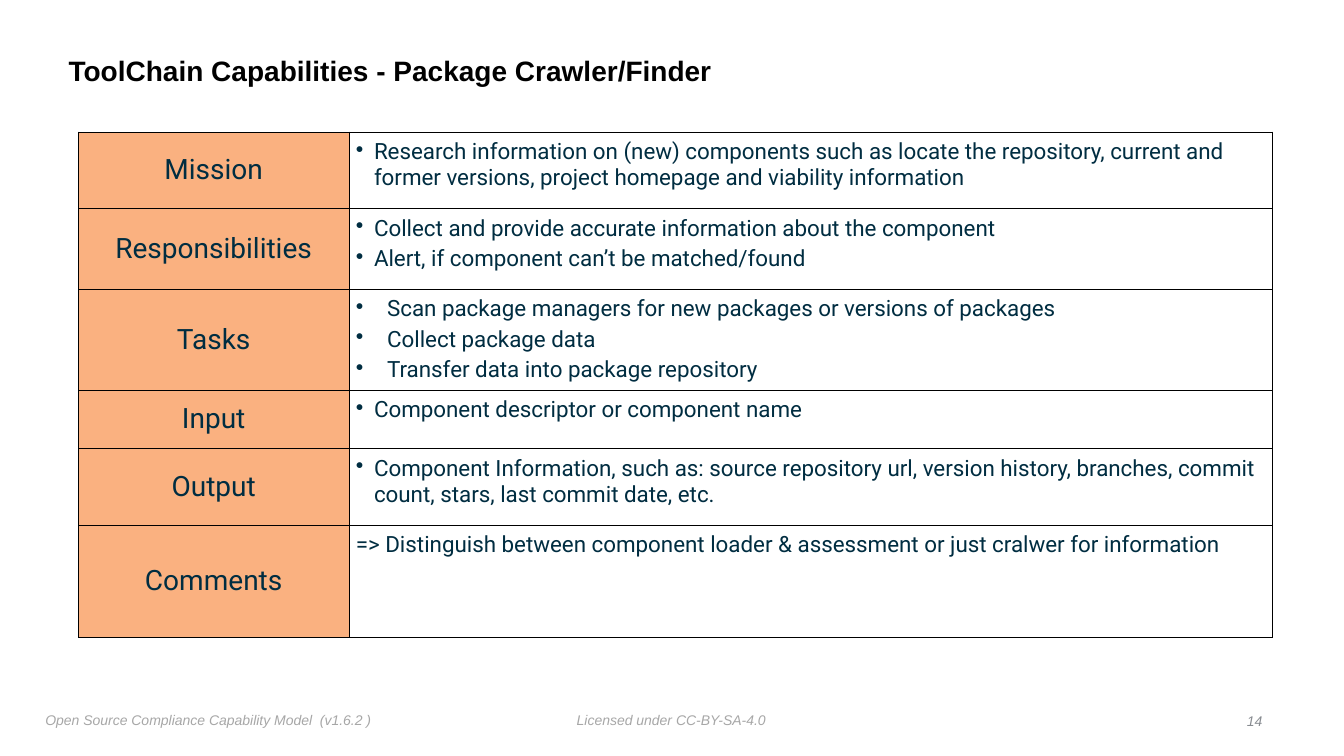
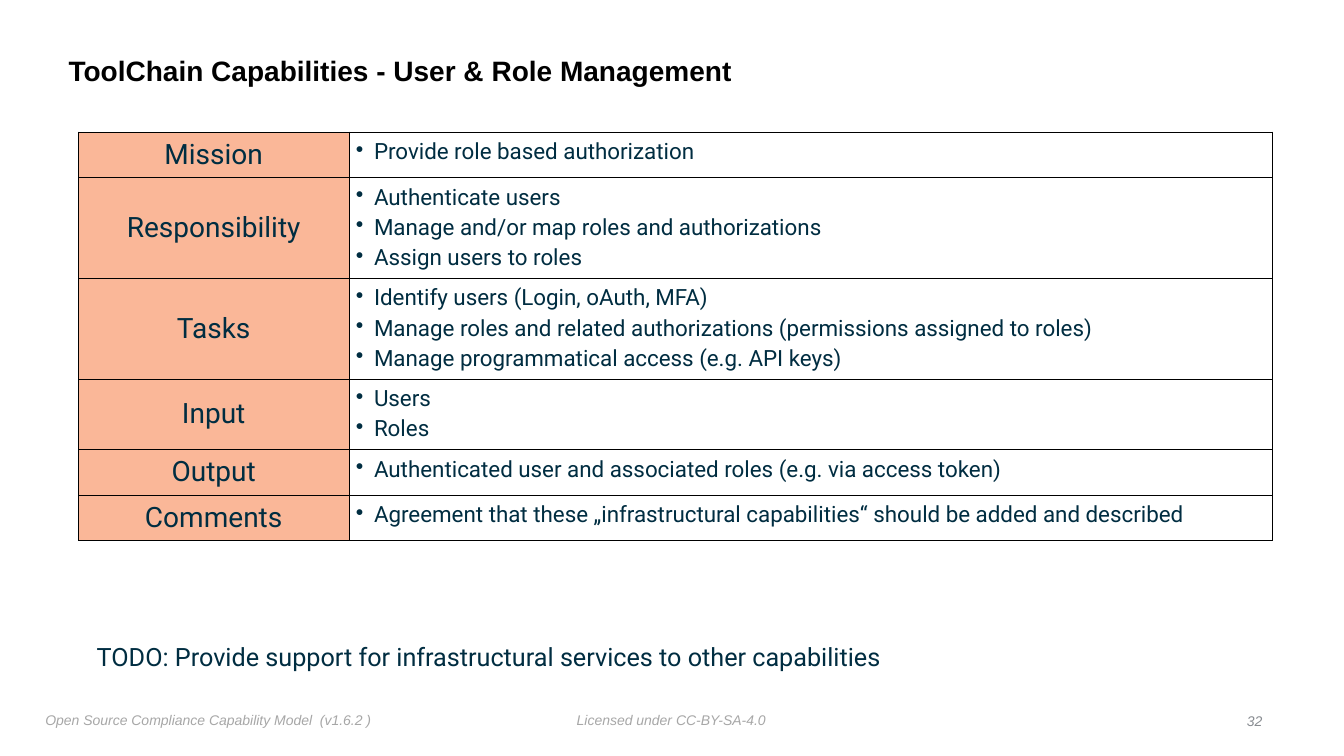
"""Build two capability sheets that share a title style, a table style and a footer."""
import lxml.etree
import pptx
import pptx.dml.color
import pptx.enum.text
import pptx.oxml
import pptx.oxml.ns
import pptx.util

Inches = pptx.util.Inches
Pt = pptx.util.Pt
Align = pptx.enum.text.PP_ALIGN
Anchor = pptx.enum.text.MSO_ANCHOR

THEME = {
    "title": {"size": 20, "name": "Arial", "color": "000000", "bold": True},
    "label": {"size": 20, "name": "Roboto", "color": "002D41"},
    "body": {"size": 16, "name": "Roboto", "color": "002D41"},
    "note": {"size": 18, "name": "Roboto", "color": "002D41"},
    "footer": {"size": 10, "name": "Arial", "color": "A7A7A7", "italic": True},
    "number": {"size": 10, "name": "Arial", "color": "888C91", "italic": True},
    "border": "000000",
}

TITLE_AREA = (0.63, 0.39, 10.75, 0.65)
TABLE_LEFT, TABLE_TOP = 0.78, 1.31
COLUMN_WIDTHS = (2.68, 9.16)
NOTE_AREA = (0.91, 6.31, 8.4, 0.4)
NUMBER_AREA = (12.07, 7.03, 0.5, 0.25)
FOOTERS = (
    ("Licensed under CC-BY-SA-4.0", (5.67, 7.01, 2.2, 0.25)),
    ("Open Source Compliance Capability Model  (v1.6.2 )", (0.4, 7.01, 3.6, 0.27)),
)
BOX_INSET, CELL_INSET = 0.05, 0.07
BULLET_INDENT, WIDE_INDENT = 0.18, 0.31

SHEETS = [
    {
        "title": "ToolChain Capabilities - Package Crawler/Finder",
        "number": "14",
        "label_fill": ("F66503", 50),
        "rows": [
            ("Mission", 0.76, [
                "Research information on (new) components such as locate the repository, "
                "current and former versions, project homepage and viability information",
            ]),
            ("Responsibilities", 0.8, [
                "Collect and provide accurate information about the component",
                "Alert, if component can’t be matched/found",
            ]),
            ("Tasks", 1, [
                "Scan package managers for new packages or versions of packages",
                "Collect package data",
                "Transfer data into package repository",
            ]),
            ("Input", 0.58, ["Component descriptor or component name"]),
            ("Output", 0.76, [
                "Component Information, such as: source repository url, version history, "
                "branches, commit count, stars, last commit date, etc.",
            ]),
            ("Comments", 1.11, [
                "=> Distinguish between component loader & assessment "
                "or just cralwer for information",
            ]),
        ],
        "indents": {"Tasks": WIDE_INDENT},
        "unbulleted": {"Comments"},
    },
    {
        "title": "ToolChain Capabilities - User & Role Management",
        "number": "32",
        "label_fill": ("FAB798", 100),
        "rows": [
            ("Mission", 0.45, ["Provide role based authorization"]),
            ("Responsibility", 1, [
                "Authenticate users",
                "Manage and/or map roles and authorizations",
                "Assign users to roles",
            ]),
            ("Tasks", 1, [
                "Identify users (Login, oAuth, MFA)",
                "Manage roles and related authorizations (permissions assigned to roles)",
                "Manage programmatical access (e.g. API keys)",
            ]),
            ("Input", 0.7, ["Users", "Roles"]),
            ("Output", 0.45, [
                "Authenticated user and associated roles (e.g. via access token)",
            ]),
            ("Comments", 0.45, [
                "Agreement that these „infrastructural capabilities“ "
                "should be added and described",
            ]),
        ],
        "note": "TODO: Provide support for infrastructural services to other capabilities",
    },
]


def apply(target, values):
    """Set each named attribute of an object."""
    for name, value in values.items():
        setattr(target, name, value)


def color(code):
    """Turn a hex code into a colour."""
    return pptx.dml.color.RGBColor.from_string(code)


def add_element(parent, tag, **attributes):
    """Append a drawing element to a parent."""
    element = lxml.etree.SubElement(parent, pptx.oxml.ns.qn(tag))
    for name, value in attributes.items():
        element.set(name, str(value))
    return element


def style_font(para, style):
    """Give a paragraph's spans one of the theme's text styles."""
    values = dict(THEME[style])
    code = values.pop("color")
    values["size"] = Pt(values["size"])
    for span in para.runs:
        apply(span.font, values)
        span.font.color.rgb = color(code)


def set_margins(target, inset):
    """Set four equal insets."""
    apply(target, {f"margin_{side}": Inches(inset)
                   for side in ("left", "right", "top", "bottom")})


def fill_box(box, text, style, anchor=Anchor.TOP, align=Align.LEFT):
    """Write one styled paragraph into a box."""
    frame = box.text_frame
    frame.text = text
    apply(frame, {"word_wrap": True, "vertical_anchor": anchor,
                  "auto_size": pptx.enum.text.MSO_AUTO_SIZE.NONE})
    set_margins(frame, BOX_INSET)
    para = frame.paragraphs[0]
    para.alignment = align
    style_font(para, style)
    return para


def add_box(page, area, *content, **options):
    """Add a text box to a page."""
    box = page.shapes.add_textbox(*map(Inches, area))
    fill_box(box, *content, **options)


def add_title(page, text):
    """Place and format the title placeholder."""
    box = page.shapes.title
    apply(box, dict(zip(("left", "top", "width", "height"), map(Inches, TITLE_AREA))))
    para = fill_box(box, text, "title", anchor=Anchor.MIDDLE)
    para.line_spacing = 0.9


def draw_borders(cell):
    """Outline the four sides of a cell."""
    properties = cell._tc.get_or_add_tcPr()
    for side in ("a:lnL", "a:lnR", "a:lnT", "a:lnB"):
        line = add_element(properties, side, w=Pt(0.5))
        add_element(add_element(line, "a:solidFill"), "a:srgbClr", val=THEME["border"])


def fill_label(cell, text, label_fill):
    """Write a centred row label on a tinted cell."""
    code, opacity = label_fill
    cell.text = text
    set_margins(cell, 0)
    cell.vertical_anchor = Anchor.MIDDLE
    cell.fill.solid()
    cell.fill.fore_color.rgb = color(code)
    if opacity < 100:
        tint = cell._tc.tcPr.find(".//" + pptx.oxml.ns.qn("a:solidFill") + "[last()]")
        tint = cell._tc.tcPr.findall(pptx.oxml.ns.qn("a:solidFill"))[-1]
        add_element(tint[0], "a:alpha", val=opacity * 1000)
    para = cell.text_frame.paragraphs[0]
    para.alignment = Align.CENTER
    style_font(para, "label")


def fill_body(cell, lines, indent, bulleted):
    """Write the lines of a row with hanging indents."""
    cell.text = "\n".join(lines)
    set_margins(cell, CELL_INSET)
    cell.fill.background()
    for index, para in enumerate(cell.text_frame.paragraphs):
        properties = para._p.get_or_add_pPr()
        properties.set("marL", str(Inches(indent)))
        properties.set("indent", str(-Inches(indent)))
        if bulleted:
            add_element(properties, "a:buChar", char="•")
        if index:
            para.space_before = Pt(3)
        style_font(para, "body")


def add_capability_table(page, sheet):
    """Add the two-column table of a sheet."""
    rows = sheet["rows"]
    height = sum(row[1] for row in rows)
    area = (TABLE_LEFT, TABLE_TOP, sum(COLUMN_WIDTHS), height)
    table = page.shapes.add_table(len(rows), 2, *map(Inches, area)).table
    apply(table, {"first_row": False, "horz_banding": False})
    for column, width in zip(table.columns, COLUMN_WIDTHS):
        column.width = Inches(width)
    for row, (label, row_height, lines) in zip(table.rows, rows):
        row.height = Inches(row_height)
        for cell in row.cells:
            draw_borders(cell)
        bulleted = label not in sheet.get("unbulleted", ())
        indent = sheet.get("indents", {}).get(label, BULLET_INDENT)
        fill_label(row.cells[0], label, sheet["label_fill"])
        fill_body(row.cells[1], lines, indent if bulleted else CELL_INSET, bulleted)


def add_sheet(deck, sheet):
    """Add one capability page."""
    page = deck.slides.add_slide(deck.slide_layouts.get_by_name("Title Only"))
    for text, area in FOOTERS:
        add_box(page, area, text, "footer")
    add_title(page, sheet["title"])
    add_capability_table(page, sheet)
    add_box(page, NUMBER_AREA, sheet["number"], "number",
            anchor=Anchor.MIDDLE, align=Align.RIGHT)
    if "note" in sheet:
        add_box(page, NOTE_AREA, sheet["note"], "note")


def main():
    """Build and save the deck."""
    deck = pptx.Presentation()
    apply(deck, {"slide_width": Inches(13.33), "slide_height": Inches(7.5)})
    for sheet in SHEETS:
        add_sheet(deck, sheet)
    deck.save("out.pptx")


if __name__ == "__main__":
    main()
